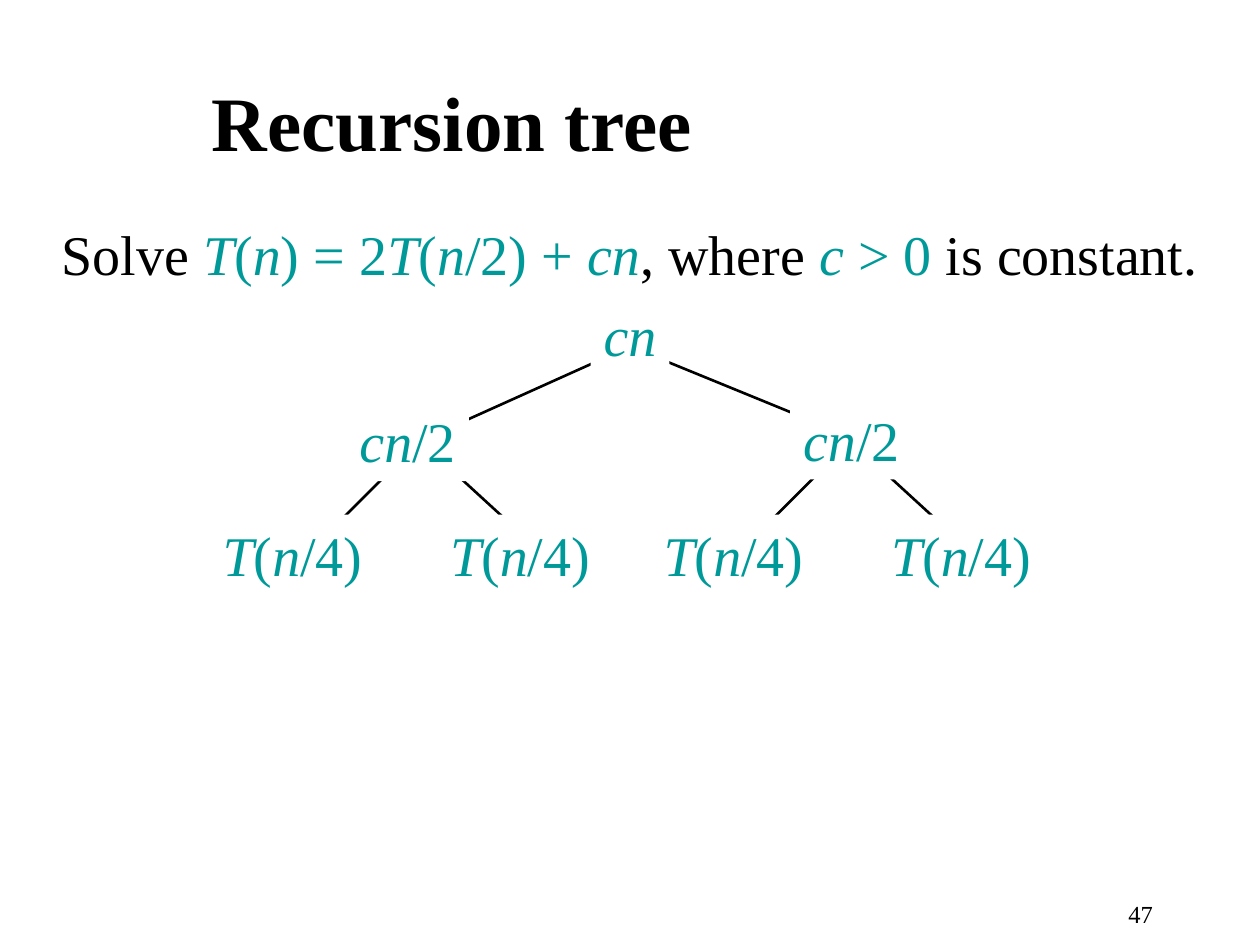
from dataclasses import dataclass
from itertools import groupby

from lxml import etree
from pptx import Presentation
from pptx.dml.color import RGBColor
from pptx.enum import shapes, text
from pptx.oxml import ns
from pptx.util import Pt

FONT = "Times New Roman"
BLACK, TEAL, WHITE = "000000", "009999", "FFFFFF"
LINE_HEIGHT = 46


@dataclass
class Run:
    text: str
    color: str = BLACK
    size: float = 32
    bold: bool = False
    italic: bool = False


@dataclass
class Node:
    formula: str
    left: float
    top: float
    width: float


@dataclass
class Edge:
    start: tuple[float, float]
    end: tuple[float, float]


def color(hex_string: str) -> RGBColor:
    return RGBColor.from_string(hex_string)


def math(formula: str) -> list[Run]:
    """Split a formula into runs, with its letters in italics."""
    return [Run("".join(characters), TEAL, italic=is_letter)
            for is_letter, characters in groupby(formula, str.isalpha)]


def write(shape, runs: list[Run], alignment=text.PP_ALIGN.LEFT,
          anchor=text.MSO_ANCHOR.TOP, wrap: bool = False) -> None:
    frame = shape.text_frame
    frame.word_wrap = wrap
    frame.vertical_anchor = anchor
    frame.auto_size = (text.MSO_AUTO_SIZE.NONE if wrap
                       else text.MSO_AUTO_SIZE.SHAPE_TO_FIT_TEXT)
    paragraph = frame.paragraphs[0]
    paragraph.alignment = alignment
    for item in runs:
        run = paragraph.add_run()
        run.text = item.text
        run.font.name = FONT
        run.font.size = Pt(item.size)
        run.font.bold = item.bold
        run.font.italic = item.italic
        run.font.color.rgb = color(item.color)


def add_text(slide, left: float, top: float, width: float, height: float,
             runs: list[Run], **layout) -> None:
    shape = slide.shapes.add_textbox(Pt(left), Pt(top), Pt(width), Pt(height))
    write(shape, runs, **layout)


def add_edge(slide, edge: Edge) -> None:
    connector = slide.shapes.add_connector(
        shapes.MSO_CONNECTOR.STRAIGHT,
        *(Pt(value) for value in edge.start + edge.end))
    connector.line.color.rgb = color(BLACK)
    connector.line.width = Pt(1.5)
    etree.SubElement(connector.element.spPr, ns.qn("a:effectLst"))


def add_node(slide, node: Node) -> None:
    """Draw a white box that hides the edge ends behind its formula."""
    shape = slide.shapes.add_shape(
        shapes.MSO_SHAPE.RECTANGLE,
        Pt(node.left), Pt(node.top), Pt(node.width), Pt(LINE_HEIGHT))
    shape.shadow.inherit = False
    shape.fill.solid()
    shape.fill.fore_color.rgb = color(WHITE)
    shape.line.fill.background()
    write(shape, math(node.formula), text.PP_ALIGN.CENTER)


ROOT, LEFT_CHILD, RIGHT_CHILD = (360, 198), (240, 252), (486, 252)
EDGES = [
    Edge(ROOT, LEFT_CHILD),
    Edge(ROOT, (492, 252)),
    *(Edge(LEFT_CHILD, (x, 318)) for x in (174, 312)),
    *(Edge(RIGHT_CHILD, (x, 318)) for x in (420, 558)),
]
NODES = [
    Node("cn", 337.5, 168, 45),
    *(Node("T(n/4)", left, 294, 94.5) for left in (120, 250, 372, 502)),
    Node("cn/2", 198, 229, 70),
    Node("cn/2", 451.5, 228, 70),
]


def main() -> None:
    presentation = Presentation()
    presentation.slide_width, presentation.slide_height = Pt(720), Pt(540)
    slide = presentation.slides.add_slide(presentation.slide_layouts[6])

    add_text(slide, 114, 24, 594, 90, [Run("Recursion tree", size=44, bold=True)],
             anchor=text.MSO_ANCHOR.MIDDLE, wrap=True)
    add_text(slide, 28, 122, 664, LINE_HEIGHT, [
        Run("Solve "), *math("T(n) = 2T(n/2) + cn"),
        Run(", where "), *math("c > 0"), Run(" is constant."),
    ])
    for edge in EDGES:
        add_edge(slide, edge)
    for node in NODES:
        add_node(slide, node)
    add_text(slide, 516, 510, 150, 18, [Run("47", size=14)],
             alignment=text.PP_ALIGN.RIGHT, wrap=True)

    presentation.save("out.pptx")


if __name__ == "__main__":
    main()
